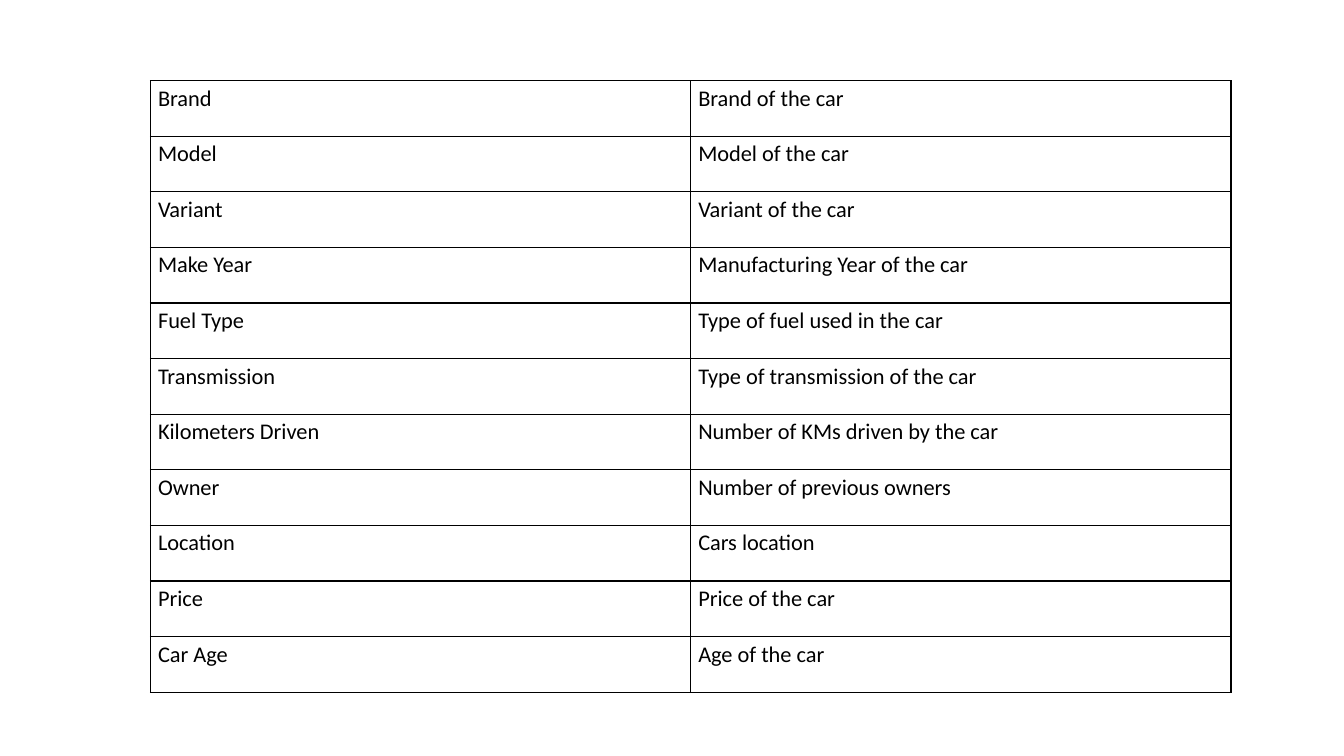
from lxml import etree
from pptx import Presentation
from pptx import util as u
from pptx.dml.color import RGBColor
from pptx.oxml.ns import qn

COLOURS = {"text": "000000", "border": "000000"}
FONT = "Calibri"
LEFT, TOP = 107.5, 57.6
COLUMN_WIDTH, ROW_HEIGHT = 385.9, 39.73

CAR_FIELDS = [
    ("Brand", "Brand of the car"),
    ("Model", "Model of the car"),
    ("Variant", "Variant of the car"),
    ("Make Year", "Manufacturing Year of the car"),
    ("Fuel Type", "Type of fuel used in the car"),
    ("Transmission", "Type of transmission of the car"),
    ("Kilometers Driven", "Number of KMs driven by the car"),
    ("Owner", "Number of previous owners"),
    ("Location", "Cars location"),
    ("Price", "Price of the car"),
    ("Car Age", "Age of the car"),
]


def set_borders(cell, width=1):
    properties = cell._tc.get_or_add_tcPr()
    for side in ("lnL", "lnR", "lnT", "lnB"):
        line = etree.SubElement(properties, qn(f"a:{side}"), w=str(u.Pt(width)))
        fill = etree.SubElement(line, qn("a:solidFill"))
        etree.SubElement(fill, qn("a:srgbClr"), val=COLOURS["border"])


def fill_cell(cell, words):
    """Write the words and give the cell its margins, borders and empty fill."""
    set_borders(cell)
    cell.fill.background()
    cell.margin_left = cell.margin_right = u.Pt(5.4)
    cell.margin_top = cell.margin_bottom = u.Pt(0)
    paragraph = cell.text_frame.paragraphs[0]
    paragraph.line_spacing = 1.15
    paragraph.space_after = u.Pt(10)
    run = paragraph.add_run()
    run.text = words
    run.font.name = FONT
    run.font.size = u.Pt(16)
    run.font.color.rgb = RGBColor.from_string(COLOURS["text"])


def add_field_table(slide, rows):
    columns = len(rows[0])
    frame = slide.shapes.add_table(
        len(rows), columns, u.Pt(LEFT), u.Pt(TOP),
        u.Pt(COLUMN_WIDTH * columns), u.Pt(ROW_HEIGHT * len(rows)))
    table = frame.table
    table.first_row = table.horz_banding = False
    for column in table.columns:
        column.width = u.Pt(COLUMN_WIDTH)
    for table_row, row in zip(table.rows, rows):
        table_row.height = u.Pt(ROW_HEIGHT)
        for cell, words in zip(table_row.cells, row):
            fill_cell(cell, words)


def main():
    presentation = Presentation()
    presentation.slide_width = u.Pt(960)
    presentation.slide_height = u.Pt(540)
    slide = presentation.slides.add_slide(presentation.slide_layouts[6])
    add_field_table(slide, CAR_FIELDS)
    presentation.save("out.pptx")


if __name__ == "__main__":
    main()
